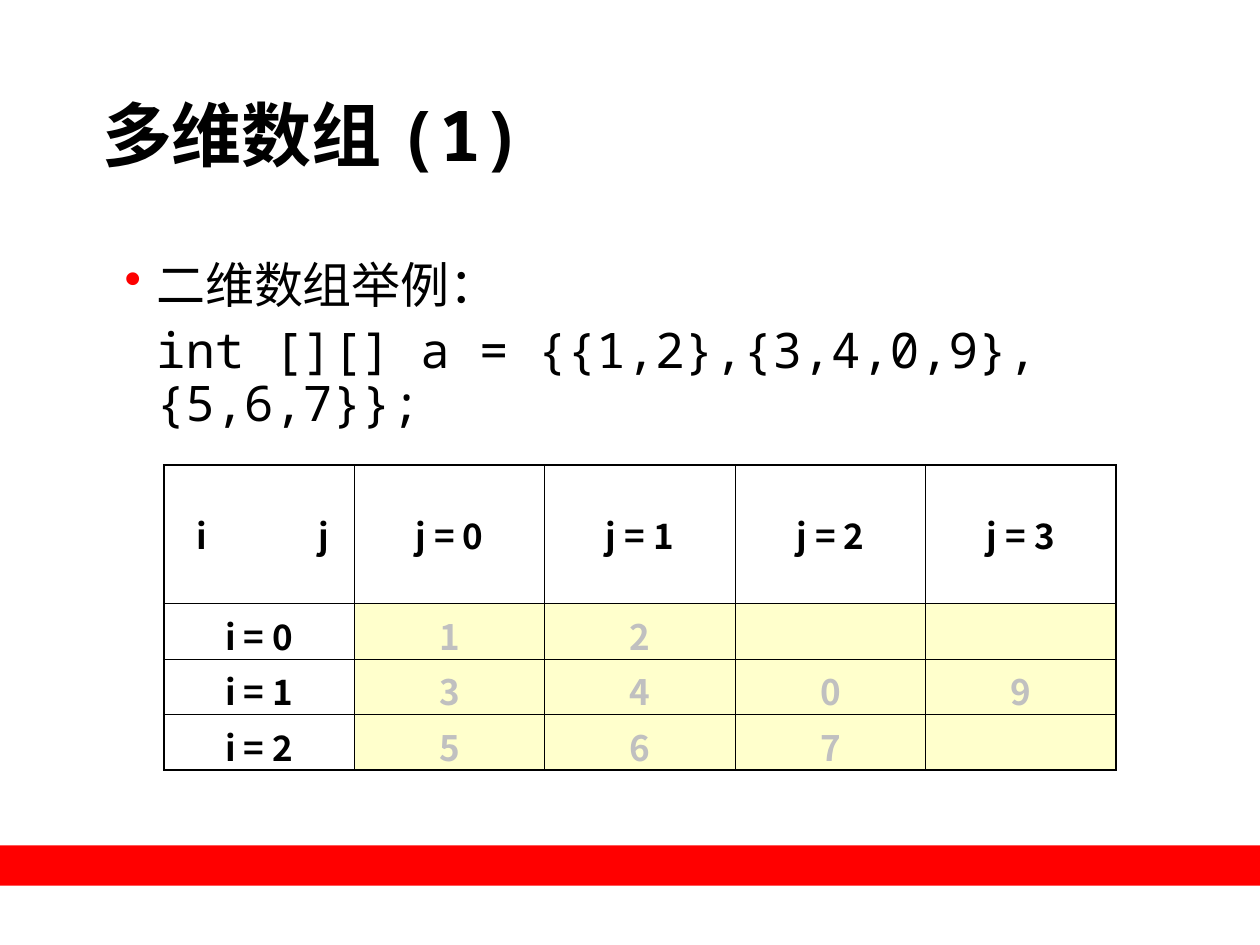
from dataclasses import dataclass

from lxml import etree
from pptx import Presentation
from pptx import util as u
from pptx.dml.color import RGBColor
from pptx.enum import shapes, text
from pptx.oxml.ns import qn

MONO = "Noto Sans Mono"
SANS = "Noto Sans CJK SC"
BLACK, RED, SILVER, CREAM, WHITE = "000000", "FF0000", "C0C0C0", "FFFFCC", "FFFFFF"
THIN, THICK = 0.45, 1.08


@dataclass
class Style:
    font: str
    size: float
    colour: str = BLACK
    bold: bool = False


@dataclass
class Box:
    left: float
    top: float
    width: float
    height: float

    def lengths(self) -> list:
        return [u.Inches(n) for n in (self.left, self.top, self.width, self.height)]


def rgb(colour: str) -> RGBColor:
    return RGBColor.from_string(colour)


def format_runs(paragraph, style: Style) -> None:
    for run in paragraph.runs:
        run.font.name = style.font
        run.font.size = u.Pt(style.size)
        run.font.bold = style.bold
        run.font.color.rgb = rgb(style.colour)
        east_asian = etree.SubElement(run.font._element, qn("a:ea"))
        east_asian.set("typeface", SANS)


def add_text(slide, box: Box, lines: list[str], style: Style):
    frame = slide.shapes.add_textbox(*box.lengths()).text_frame
    frame.word_wrap = True
    frame.margin_left = frame.margin_right = frame.margin_top = frame.margin_bottom = 0
    frame.text = "\n".join(lines)
    for paragraph in frame.paragraphs:
        format_runs(paragraph, style)
    return frame


def add_bullet(paragraph, colour: str) -> None:
    properties = paragraph._p.get_or_add_pPr()
    properties.set("indent", str(-u.Inches(0.25)))
    bullet_colour = etree.SubElement(properties, qn("a:buClr"))
    etree.SubElement(bullet_colour, qn("a:srgbClr")).set("val", colour)
    etree.SubElement(properties, qn("a:buChar")).set("char", "•")


def add_border(cell, side: str, width: float) -> None:
    line = etree.SubElement(cell._tc.get_or_add_tcPr(), qn(f"a:ln{side}"))
    line.set("w", str(u.Pt(width)))
    fill = etree.SubElement(line, qn("a:solidFill"))
    etree.SubElement(fill, qn("a:srgbClr")).set("val", BLACK)


def add_array_table(slide, box: Box, rows: list[list[str]], heights: list[float]) -> None:
    last_row, last_column = len(rows) - 1, len(rows[0]) - 1
    table = slide.shapes.add_table(len(rows), len(rows[0]), *box.lengths()).table
    for row, height in zip(table.rows, heights):
        row.height = u.Inches(height)
    for i, row in enumerate(rows):
        for j, entry in enumerate(row):
            cell = table.cell(i, j)
            is_value = i > 0 and j > 0
            outer_sides = {"L": j == 0, "R": j == last_column, "T": i == 0, "B": i == last_row}
            for side, is_outer in outer_sides.items():
                add_border(cell, side, THICK if is_outer else THIN)
            cell.fill.solid()
            cell.fill.fore_color.rgb = rgb(CREAM if is_value else WHITE)
            cell.vertical_anchor = text.MSO_ANCHOR.MIDDLE
            cell.text_frame.text = entry
            paragraph = cell.text_frame.paragraphs[0]
            paragraph.alignment = text.PP_ALIGN.CENTER
            paragraph.space_before = u.Pt(5)
            format_runs(paragraph, Style(SANS, 20, SILVER if is_value else BLACK, True))
    spread_corner(table.cell(0, 0))


def spread_corner(corner) -> None:
    corner.margin_left = u.Inches(0.26)
    paragraph = corner.text_frame.paragraphs[0]
    paragraph.alignment = text.PP_ALIGN.LEFT
    stops = etree.SubElement(paragraph._p.get_or_add_pPr(), qn("a:tabLst"))
    stop = etree.SubElement(stops, qn("a:tab"))
    stop.set("pos", str(u.Inches(0.97)))
    stop.set("algn", "l")


def main() -> None:
    deck = Presentation()
    deck.slide_width, deck.slide_height = u.Inches(10), u.Inches(7.5)
    slide = deck.slides.add_slide(deck.slide_layouts[6])

    band = slide.shapes.add_shape(
        shapes.MSO_SHAPE.RECTANGLE, *Box(0, 6.71, 10, 0.32).lengths()
    )
    band.shadow.inherit = False
    band.fill.solid()
    band.fill.fore_color.rgb = rgb(RED)
    band.line.fill.background()

    add_text(slide, Box(0.81, 0.73, 8.52, 1.21), ["多维数组 (1)"], Style(MONO, 40, bold=True))

    example = add_text(
        slide,
        Box(0.99, 2.07, 8.26, 1.11),
        ["二维数组举例：", "int [][] a = {{1,2},{3,4,0,9},{5,6,7}};"],
        Style(MONO, 28),
    )
    for paragraph in example.paragraphs:
        paragraph.line_spacing = 0.9
        paragraph.space_before = u.Pt(7)
        paragraph._p.get_or_add_pPr().set("marL", str(u.Inches(0.25)))
    add_bullet(example.paragraphs[0], "FD0000")

    array = [["1", "2"], ["3", "4", "0", "9"], ["5", "6", "7"]]
    column_count = max(len(values) for values in array)
    header = ["i\tj"] + [f"j = {j}" for j in range(column_count)]
    body = [
        [f"i = {i}"] + values + [""] * (column_count - len(values))
        for i, values in enumerate(array)
    ]
    add_array_table(
        slide, Box(1.3, 3.69, 7.56, 2.42), [header] + body, [1.1] + [0.44] * len(array)
    )

    deck.save("out.pptx")


if __name__ == "__main__":
    main()
